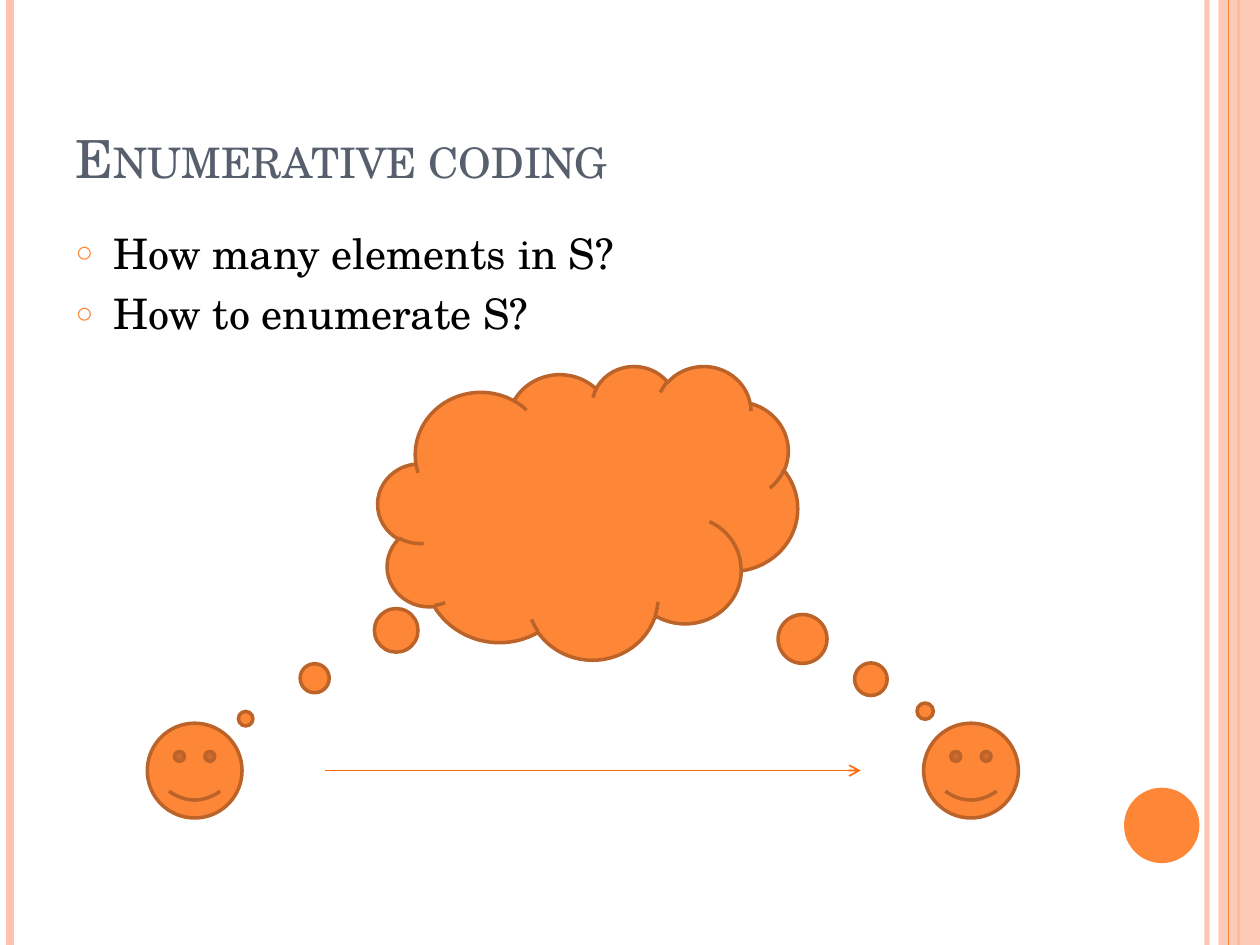
import pptx
import pptx.dml.color
import pptx.enum.shapes
import pptx.enum.text
import pptx.oxml
import pptx.oxml.ns
import pptx.util
from pptx.util import Cm

RGBColor = pptx.dml.color.RGBColor
SHAPE = pptx.enum.shapes.MSO_SHAPE
ORANGE = RGBColor(0xFE, 0x86, 0x37)
BRIGHT_ORANGE = RGBColor(0xFF, 0x6B, 0x0A)
BROWN = RGBColor(0xBC, 0x63, 0x29)
PINK = RGBColor(0xFE, 0xC3, 0xAE)
SLATE = RGBColor(0x57, 0x5F, 0x6D)
BLACK = RGBColor(0, 0, 0)
FONT = "TeX Gyre Schola"


def add_element(parent, tag, **attributes):
    element = pptx.oxml.parse_xml(f"<a:{tag} {pptx.oxml.ns.nsdecls('a')}/>")
    for name, value in attributes.items():
        element.set(name, str(value))
    parent.append(element)
    return element


def set_opacity(fill_parent, percent):
    color = fill_parent.find(".//" + pptx.oxml.ns.qn("a:srgbClr"))
    add_element(color, "alpha", val=percent * 1000)


def add_figure(slide, preset, left, top, width, height, fill=ORANGE, outline=BROWN):
    figure = slide.shapes.add_shape(preset, Cm(left), Cm(top), Cm(width), Cm(height))
    figure.shadow.inherit = False
    figure.fill.solid()
    figure.fill.fore_color.rgb = fill
    if outline is None:
        figure.line.fill.background()
    else:
        figure.line.color.rgb = outline
        figure.line.width = pptx.util.Pt(2)
    return figure


def add_line(slide, x1, y1, x2, y2, color, weight):
    line = slide.shapes.add_connector(
        pptx.enum.shapes.MSO_CONNECTOR.STRAIGHT, Cm(x1), Cm(y1), Cm(x2), Cm(y2))
    line.line.color.rgb = color
    line.line.width = pptx.util.Pt(weight)
    add_element(line.element.spPr, "effectLst")
    return line


def place(placeholder, left, top, width, height):
    placeholder.left, placeholder.top = Cm(left), Cm(top)
    placeholder.width, placeholder.height = Cm(width), Cm(height)
    placeholder.text_frame.auto_size = pptx.enum.text.MSO_AUTO_SIZE.NONE


def format_run(run, size, color):
    run.font.name = FONT
    run.font.size = pptx.util.Pt(size)
    run.font.color.rgb = color


def build_frame(slide, left, top, width, height):
    """Side stripes and page-number disc."""
    right, bottom = left + width, top + height

    def stripe(x, color, weight):
        return add_line(slide, x, top, x, bottom, color, weight)

    set_opacity(stripe(right - 1.07, PINK, 3).line._get_or_add_ln(), 93)
    stripe(left + 0.2, PINK, 4.5)
    stripe(right - 0.43, ORANGE, 1.5)
    band = add_figure(slide, SHAPE.RECTANGLE, right - 0.84, top, 0.84, height, PINK, None)
    set_opacity(band.element.spPr, 87)
    stripe(right - 0.63, ORANGE, 0.75)
    add_figure(slide, SHAPE.OVAL, right - 2.74, bottom - 3.17, 1.52, 1.52, outline=None)


def build_title(slide, left, top, width, height):
    title = slide.shapes.title
    place(title, left, top, width, height)
    title.text_frame.text = "Enumerative coding"
    title.text_frame.vertical_anchor = pptx.enum.text.MSO_ANCHOR.BOTTOM
    heading = title.text_frame.paragraphs[0]
    heading.alignment = pptx.enum.text.PP_ALIGN.LEFT
    format_run(heading.runs[0], 30, SLATE)
    heading.runs[0].font._element.set("cap", "small")


def build_questions(slide, left, top, width, height):
    body = slide.placeholders[1]
    place(body, left, top, width, height)
    body.text_frame.text = "How many elements in S?\nHow to enumerate S?"
    for index, question in enumerate(body.text_frame.paragraphs):
        properties = question._p.get_or_add_pPr()
        properties.set("marL", str(Cm(0.76)))
        properties.set("indent", str(-Cm(0.76)))
        bullet_color = add_element(properties, "buClr")
        add_element(bullet_color, "srgbClr", val=ORANGE)
        add_element(properties, "buSzPct", val=70000)
        add_element(properties, "buChar", char="○")
        question.space_before = pptx.util.Pt(6 if index else 0)
        format_run(question.runs[0], 24, BLACK)


def build_shared_thought(slide, left, top, width, height):
    """Two faces, one message arrow and one cloud belonging to both."""
    face = 1.91
    face_top = top + height - face

    def cloud(x, y, cloud_width, cloud_height, tip_x, tip_y):
        thought = add_figure(slide, SHAPE.CLOUD_CALLOUT, left + x, top + y,
                             cloud_width, cloud_height)
        thought.adjustments[0] = tip_x
        thought.adjustments[1] = tip_y

    # Sender's cloud lies behind the receiver's
    cloud(5.92, 0.43, 5.92, 5.28, -1.165, 0.767)
    for face_left in (left, left + width - face):
        add_figure(slide, SHAPE.SMILEY_FACE, face_left, face_top, face, face)

    # Message arrow
    middle = face_top + face / 2
    arrow = add_line(slide, left + 3.58, middle, left + width - 3.18, middle,
                     BRIGHT_ORANGE, 1)
    add_element(arrow.line._get_or_add_ln(), "tailEnd", type="arrow")

    cloud(4.65, 0, 8.46, 5.92, 0.804, 0.677)


def main():
    presentation = pptx.Presentation()
    presentation.slide_width, presentation.slide_height = Cm(25.4), Cm(19.05)
    slide = presentation.slides.add_slide(presentation.slide_layouts[1])
    build_frame(slide, 0, 0, 25.4, 19.05)
    build_title(slide, 1.27, 0.76, 20.75, 3.18)
    build_questions(slide, 1.27, 4.45, 20.75, 3.38)
    build_shared_thought(slide, 2.97, 7.37, 17.56, 9.12)
    presentation.save("out.pptx")


if __name__ == "__main__":
    main()
